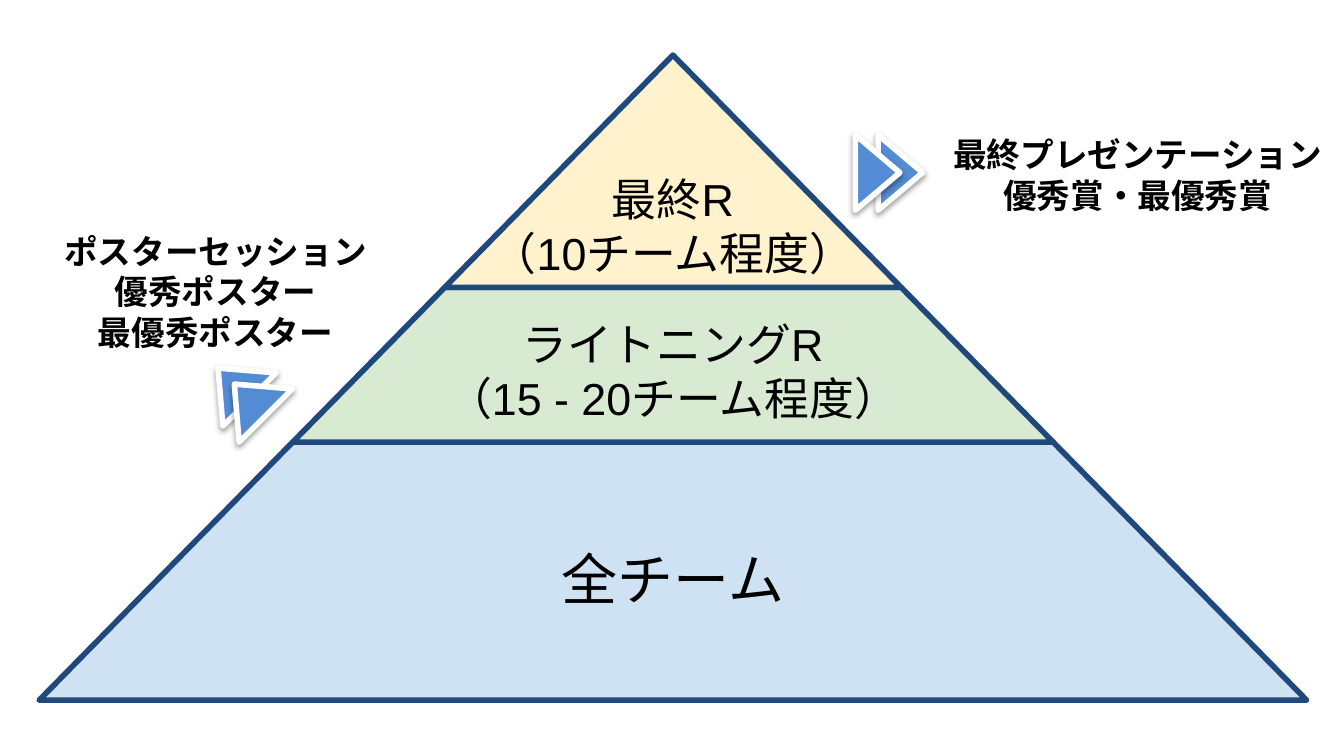
from lxml.etree import SubElement
from pptx import Presentation
from pptx.dml.color import RGBColor
from pptx.enum.shapes import MSO_SHAPE
from pptx.enum.text import MSO_ANCHOR, PP_ALIGN
from pptx.oxml.ns import qn
from pptx.util import Pt

NAVY = RGBColor(0x1F, 0x49, 0x7D)
BEIGE = RGBColor(0xEE, 0xEC, 0xE1)
CREAM = RGBColor(0xFF, 0xF2, 0xCC)
GREEN = RGBColor(0xD9, 0xEA, 0xD3)
PALE_BLUE = RGBColor(0xCF, 0xE2, 0xF3)
ARROW_BLUE = RGBColor(0x53, 0x8C, 0xD5)
WHITE = RGBColor(0xFF, 0xFF, 0xFF)
BLACK = RGBColor(0, 0, 0)

# Content: tiers from bottom to top, each with lines, size, text top and fill
TIERS = [
    (["全チーム"], 30, 284.4, PALE_BLUE),
    (["ライトニングR", "（15 - 20チーム程度）"], 24, 162.7, GREEN),
    (["最終R", "（10チーム程度）"], 24, 85, CREAM),
]
# Awards: lines, text left and top, arrow rotation, arrow positions back to front
AWARDS = [
    (["最終プレゼンテーション", "優秀賞・最優秀賞"], 499, 64.8,
     90, [(462.2, 80.6), (450, 80.6)]),
    (["ポスターセッション", "優秀ポスター", "最優秀ポスター"], 5, 116.6,
     315, [(105.1, 193.7), (113.8, 202.3)]),
]

# Geometry: each tier's top is 0.6 times as wide as its base
PYRAMID_LEFT, PYRAMID_TOP, PYRAMID_WIDTH, PYRAMID_HEIGHT = 21, 29.5, 679, 345.6
CENTER = PYRAMID_LEFT + PYRAMID_WIDTH / 2
TAPER = 0.6
TIER_TEXT_WIDTH, TIER_TEXT_HEIGHT = 296.6, 66.2
AWARD_TEXT_WIDTH, AWARD_TEXT_HEIGHT = 221, 54
ARROW_WIDTH, ARROW_HEIGHT = 40.3, 23.8


def add_outline(shapes, kind, box, fill, line, weight, rotation=0):
    outline = shapes.add_shape(kind, *map(Pt, box))
    outline.fill.solid()
    outline.fill.fore_color.rgb = fill
    outline.line.color.rgb = line
    outline.line.width = Pt(weight)
    outline.rotation = rotation
    outline.shadow.inherit = False
    return outline


def add_soft_shadow(arrow):
    effects = arrow.element.spPr.find(qn("a:effectLst"))
    shadow = SubElement(effects, qn("a:outerShdw"), blurRad=str(Pt(3.1)),
                        dist=str(Pt(1.6)), dir="5400000", rotWithShape="0")
    color = SubElement(shadow, qn("a:srgbClr"), val=str(BLACK))
    SubElement(color, qn("a:alpha"), val="38000")


def add_label(shapes, lines, box, size, bold=False):
    frame = shapes.add_textbox(*map(Pt, box)).text_frame
    inset = Pt(7.2)
    frame_format = {"word_wrap": True, "vertical_anchor": MSO_ANCHOR.TOP,
                    "margin_left": inset, "margin_right": inset,
                    "margin_top": inset, "margin_bottom": inset}
    for name, value in frame_format.items():
        setattr(frame, name, value)
    font_format = {"name": "Arial", "size": Pt(size), "bold": bold}
    for index, line in enumerate(lines):
        paragraph = frame.add_paragraph() if index else frame.paragraphs[0]
        paragraph.alignment = PP_ALIGN.CENTER
        run = paragraph.add_run()
        run.text = line
        run.font.color.rgb = BLACK
        for name, value in font_format.items():
            setattr(run.font, name, value)


def main():
    deck = Presentation()
    deck.slide_width, deck.slide_height = Pt(720), Pt(405)
    shapes = deck.slides.add_slide(deck.slide_layouts[6]).shapes

    # Pyramid
    add_outline(shapes, MSO_SHAPE.ISOSCELES_TRIANGLE,
                (PYRAMID_LEFT, PYRAMID_TOP, PYRAMID_WIDTH, PYRAMID_HEIGHT),
                BEIGE, NAVY, 0.75)
    for level, (_, _, _, fill) in enumerate(TIERS):
        peak = level == len(TIERS) - 1
        width = PYRAMID_WIDTH * TAPER ** level
        rest = PYRAMID_HEIGHT * TAPER ** level
        height = rest if peak else rest * (1 - TAPER)
        kind = (MSO_SHAPE.ISOSCELES_TRIANGLE if peak
                else MSO_SHAPE.FLOWCHART_MANUAL_OPERATION)
        box = (CENTER - width / 2, PYRAMID_TOP + rest - height, width, height)
        add_outline(shapes, kind, box, fill, NAVY, 3, 0 if peak else 180)

    # Tier texts
    for lines, size, top, _ in TIERS:
        add_label(shapes, lines, (CENTER - TIER_TEXT_WIDTH / 2, top,
                                  TIER_TEXT_WIDTH, TIER_TEXT_HEIGHT), size)

    # Awards with their double arrows
    for lines, left, top, rotation, arrows in AWARDS:
        pair = shapes.add_group_shape()
        for position in arrows:
            arrow = add_outline(pair.shapes, MSO_SHAPE.ISOSCELES_TRIANGLE,
                                (*position, ARROW_WIDTH, ARROW_HEIGHT),
                                ARROW_BLUE, WHITE, 3, rotation)
            add_soft_shadow(arrow)
        add_label(shapes, lines, (left, top, AWARD_TEXT_WIDTH,
                                  AWARD_TEXT_HEIGHT), 18, bold=True)

    deck.save("out.pptx")


if __name__ == "__main__":
    main()
